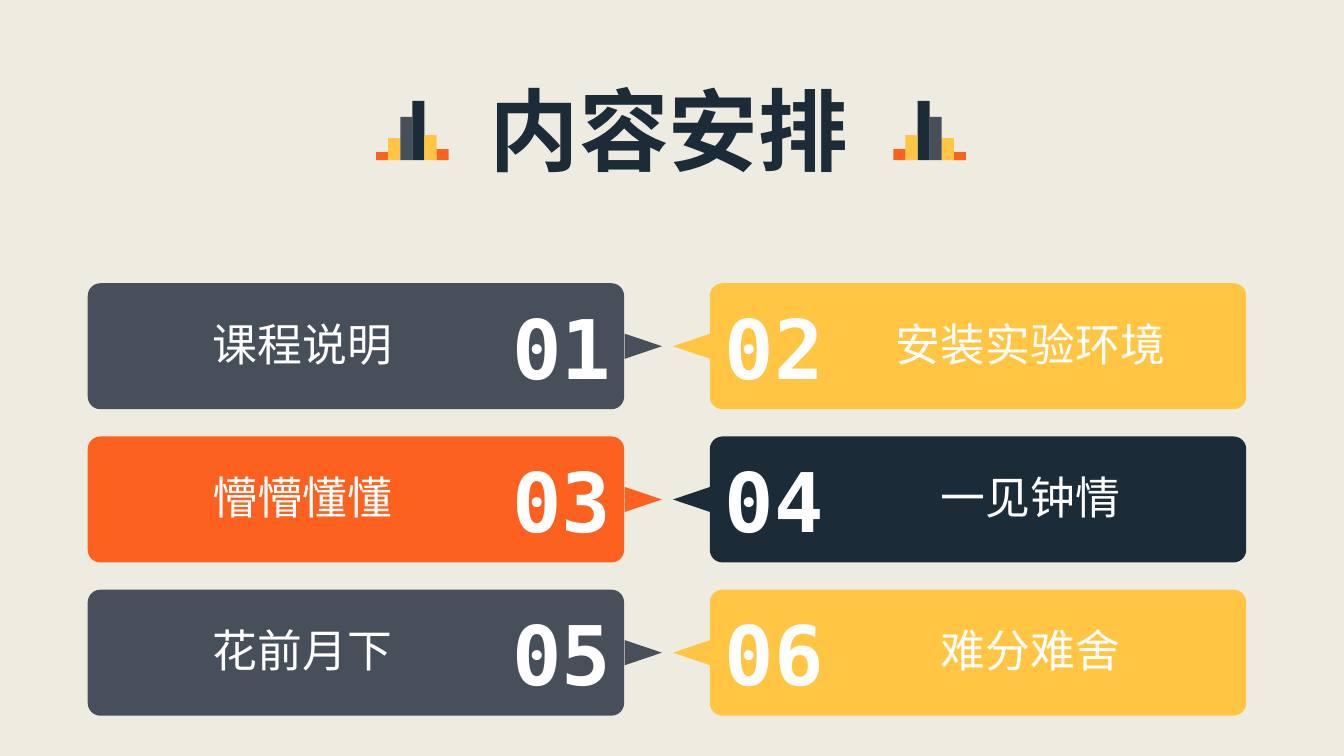
"""Build the agenda slide: a title between two bar motifs and six numbered topic cards."""
from lxml.etree import SubElement
from pptx import Presentation
from pptx.dml.color import RGBColor
from pptx.enum.shapes import MSO_SHAPE
from pptx.enum.text import MSO_ANCHOR, MSO_AUTO_SIZE, PP_ALIGN
from pptx.oxml.ns import qn
from pptx.util import Inches, Pt

COLORS = {"paper": "EEECE1", "slate": "464F5A", "yellow": "FFC543",
          "orange": "FC611F", "navy": "1C2B38", "white": "FFFFFF"}
LATIN, CHINESE, DIGITS = "Calibri", "Noto Sans CJK SC", "DejaVu Sans Mono"

TITLE = "内容安排"
TOPICS = [
    ("课程说明", "slate", LATIN), ("安装实验环境", "yellow", CHINESE),
    ("懵懵懂懂", "orange", CHINESE), ("一见钟情", "navy", LATIN),
    ("花前月下", "slate", CHINESE), ("难分难舍", "yellow", LATIN),
]
MOTIF = [("orange", 0.08), ("yellow", 0.22), ("slate", 0.43),
         ("navy", 0.59), ("yellow", 0.25), ("orange", 0.11)]

SLIDE_W, SLIDE_H = 13.33, 7.5
BAR_W, BAR_BASE = 0.12, 1.59
MOTIF_LEFT, MOTIF_RIGHT = 3.73, 9.58
CARD_W, CARD_H = 5.32, 1.25
CARD_LEFTS, CARD_TOP, ROW_STEP = (0.87, 7.04), 2.81, 1.52
POINTER_W, POINTER_H = 0.25, 0.37
POINTER_CENTERS, POINTER_TURNS = (6.38, 6.86), (90, 270)
NUMBER_CENTERS, NUMBER_W, NUMBER_H = (5.57, 7.68), 1.26, 1.09
LABEL_CENTERS, LABEL_W, LABEL_H = (3.0, 10.22), 2.89, 0.64


def color(name):
    return RGBColor.from_string(COLORS[name])


def add_block(slide, kind, left, top, width, height, fill):
    block = slide.shapes.add_shape(
        kind, Inches(left), Inches(top), Inches(width), Inches(height))
    block.shadow.inherit = False
    block.fill.solid()
    block.fill.fore_color.rgb = color(fill)
    block.line.fill.background()
    return block


def write(holder, text, size, font_name, ink, bold=False, wrap=True):
    frame = holder.text_frame
    frame.text = text
    frame.word_wrap = wrap
    frame.auto_size = MSO_AUTO_SIZE.NONE
    frame.vertical_anchor = MSO_ANCHOR.MIDDLE
    paragraph = frame.paragraphs[0]
    paragraph.alignment = PP_ALIGN.CENTER
    font = paragraph.font
    font.size, font.bold, font.name = Pt(size), bold, font_name
    font.color.rgb = color(ink)
    defaults = paragraph._p.pPr.find(qn("a:defRPr"))
    SubElement(defaults, qn("a:ea")).set("typeface", CHINESE)


def add_text(slide, center, middle, width, height, *style, **options):
    box = slide.shapes.add_textbox(
        Inches(center - width / 2), Inches(middle - height / 2),
        Inches(width), Inches(height))
    write(box, *style, **options)


def add_title(slide):
    title = slide.shapes.title
    title.left, title.top = Inches(4.53), Inches(0.69)
    title.width, title.height = Inches(4.21), Inches(1.18)
    write(title, TITLE, 64, LATIN, "navy", bold=True)
    for index, (fill, height) in enumerate(MOTIF):
        lefts = (MOTIF_LEFT + index * BAR_W, MOTIF_RIGHT - (index + 1) * BAR_W)
        for left in lefts:
            add_block(slide, MSO_SHAPE.RECTANGLE, left, BAR_BASE - height,
                      BAR_W, height, fill)


def add_topic(slide, index, label, fill, label_font):
    row, side = divmod(index, 2)
    top = CARD_TOP + row * ROW_STEP
    middle = top + CARD_H / 2
    card = add_block(slide, MSO_SHAPE.ROUNDED_RECTANGLE, CARD_LEFTS[side], top,
                     CARD_W, CARD_H, fill)
    card.adjustments[0] = 0.1
    pointer = add_block(slide, MSO_SHAPE.ISOSCELES_TRIANGLE,
                        POINTER_CENTERS[side] - POINTER_W / 2,
                        middle - POINTER_H / 2, POINTER_W, POINTER_H, fill)
    pointer.rotation = POINTER_TURNS[side]
    add_text(slide, NUMBER_CENTERS[side], middle, NUMBER_W, NUMBER_H,
             f"{index + 1:02d}", 58.7, DIGITS, "white", bold=True)
    add_text(slide, LABEL_CENTERS[side], middle - 0.03, LABEL_W, LABEL_H,
             label, 32, label_font, "white", wrap=False)


def main():
    deck = Presentation()
    deck.slide_width, deck.slide_height = Inches(SLIDE_W), Inches(SLIDE_H)
    slide = deck.slides.add_slide(deck.slide_layouts.get_by_name("Title Only"))
    slide.background.fill.solid()
    slide.background.fill.fore_color.rgb = color("paper")
    add_title(slide)
    for index, topic in enumerate(TOPICS):
        add_topic(slide, index, *topic)
    deck.save("out.pptx")


if __name__ == "__main__":
    main()
